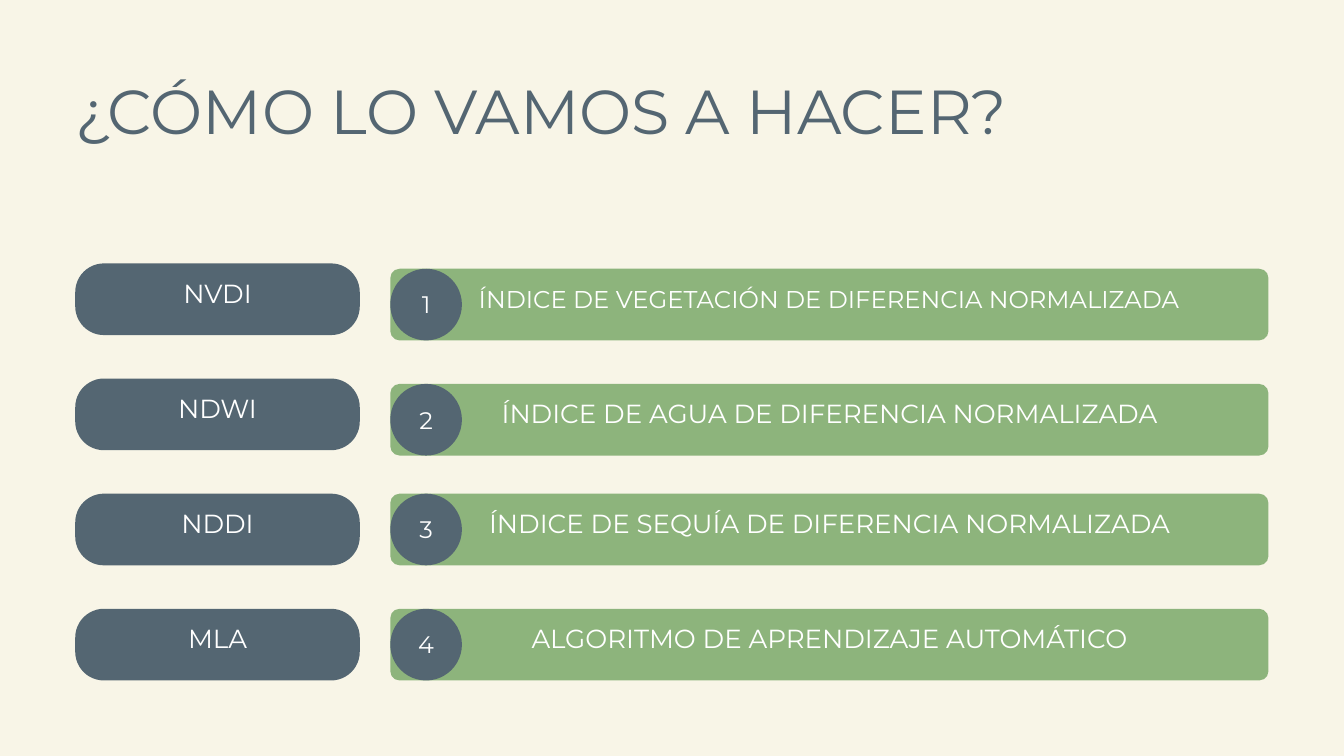
from pptx import Presentation
from pptx.dml.color import RGBColor
from pptx.enum.shapes import MSO_SHAPE
from pptx.enum.text import MSO_ANCHOR, MSO_AUTO_SIZE, PP_ALIGN
from pptx.util import Inches, Pt

COLORS = {"cream": "F8F5E7", "slate": "546672", "green": "8DB47C", "white": "FFFFFF"}
FONT = "Montserrat"

# Short name, full name, full-name size, extra bottom inset of the bar in inches
INDICES = [
    ("NVDI", "ÍNDICE DE VEGETACIÓN DE DIFERENCIA NORMALIZADA", 26, 0.23),
    ("NDWI", "ÍNDICE DE AGUA DE DIFERENCIA NORMALIZADA", 28, 0.27),
    ("NDDI", "ÍNDICE DE SEQUÍA DE DIFERENCIA NORMALIZADA", 28, 0.27),
    ("MLA", "ALGORITMO DE APRENDIZAJE AUTOMÁTICO", 28, 0.27),
]

# Percentages of the slide's width and height
LEFT, PILL_WIDTH = 5.6, 21.17
BAR_LEFT, BAR_WIDTH = 29.04, 65.34
BADGE_WIDTH = 5.33
FIRST_ROW, ROW_STEP, ROW_HEIGHT = 34.84, 15.23, 9.48
BAR_DROP = 0.71


class IndexSlide:
    def __init__(self, deck):
        self.deck = deck
        self.slide = deck.slides.add_slide(deck.slide_layouts[5])
        fill = self.slide.background.fill
        fill.solid()
        fill.fore_color.rgb = self.color("cream")

    def color(self, name):
        return RGBColor.from_string(COLORS[name])

    def place(self, left, top, width, height):
        """Turn percentages of the slide into lengths."""
        across, down = self.deck.slide_width / 100, self.deck.slide_height / 100
        return [round(left * across), round(top * down),
                round(width * across), round(height * down)]

    def set_text(self, shape, text, size, spacing, color, align, anchor, insets):
        frame = shape.text_frame
        frame.text = text
        frame.word_wrap = True
        frame.auto_size = MSO_AUTO_SIZE.NONE
        frame.vertical_anchor = anchor
        (frame.margin_left, frame.margin_top,
         frame.margin_right, frame.margin_bottom) = map(Inches, insets)
        para = frame.paragraphs[0]
        para.alignment = align
        para.line_spacing = Pt(spacing)
        font = para.runs[0].font
        font.name, font.size = FONT, Pt(size)
        font.color.rgb = self.color(color)

    def title(self, text, *area):
        title = self.slide.shapes.title
        title.left, title.top, title.width, title.height = self.place(*area)
        self.set_text(title, text, 66.5, 69.2, "slate", PP_ALIGN.LEFT,
                      MSO_ANCHOR.TOP, [0] * 4)

    def block(self, kind, area, fill, text, size, spacing, insets, corner=None):
        shape = self.slide.shapes.add_shape(kind, *self.place(*area))
        shape.shadow.inherit = False
        shape.fill.solid()
        shape.fill.fore_color.rgb = self.color(fill)
        shape.line.fill.background()
        if corner is not None:
            shape.adjustments[0] = corner
        self.set_text(shape, text, size, spacing, "white", PP_ALIGN.CENTER,
                      MSO_ANCHOR.MIDDLE, insets)

    def pill(self, top, text):
        self.block(MSO_SHAPE.ROUNDED_RECTANGLE, (LEFT, top, PILL_WIDTH, ROW_HEIGHT),
                   "slate", text, 28, 39.2, (0.06, 0.06, 0.06, 0.33), 0.4)

    def bar(self, top, text, size, lift):
        self.block(MSO_SHAPE.ROUNDED_RECTANGLE, (BAR_LEFT, top, BAR_WIDTH, ROW_HEIGHT),
                   "green", text, size, size * 1.4, (0.06, 0.06, 0.06, 0.06 + lift), 0.13)

    def badge(self, top, number):
        self.block(MSO_SHAPE.OVAL, (BAR_LEFT, top, BADGE_WIDTH, ROW_HEIGHT),
                   "slate", str(number), 25.6, 26.6, (0, 0.11, 0, 0.06))


def main():
    deck = Presentation()
    deck.slide_width, deck.slide_height = Inches(20), Inches(11.25)
    page = IndexSlide(deck)
    page.title("¿CÓMO LO VAMOS A HACER?", LEFT, 10.84, 73.25, 8.98)
    for row, (short_name, full_name, size, lift) in enumerate(INDICES):
        top = FIRST_ROW + row * ROW_STEP
        bar_top = top + BAR_DROP if row < 2 else top
        page.pill(top, short_name)
        page.bar(bar_top, full_name, size, lift)
        page.badge(bar_top, row + 1)
    deck.save("out.pptx")


if __name__ == "__main__":
    main()
